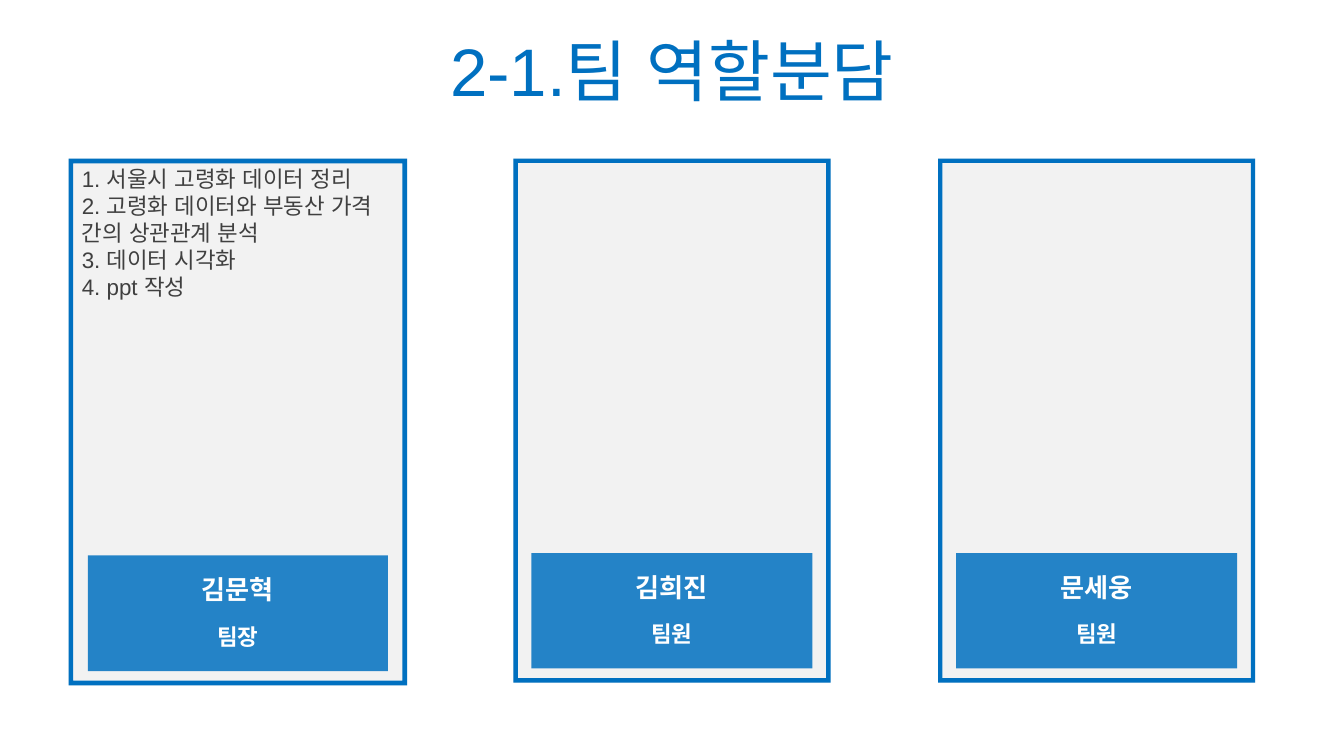
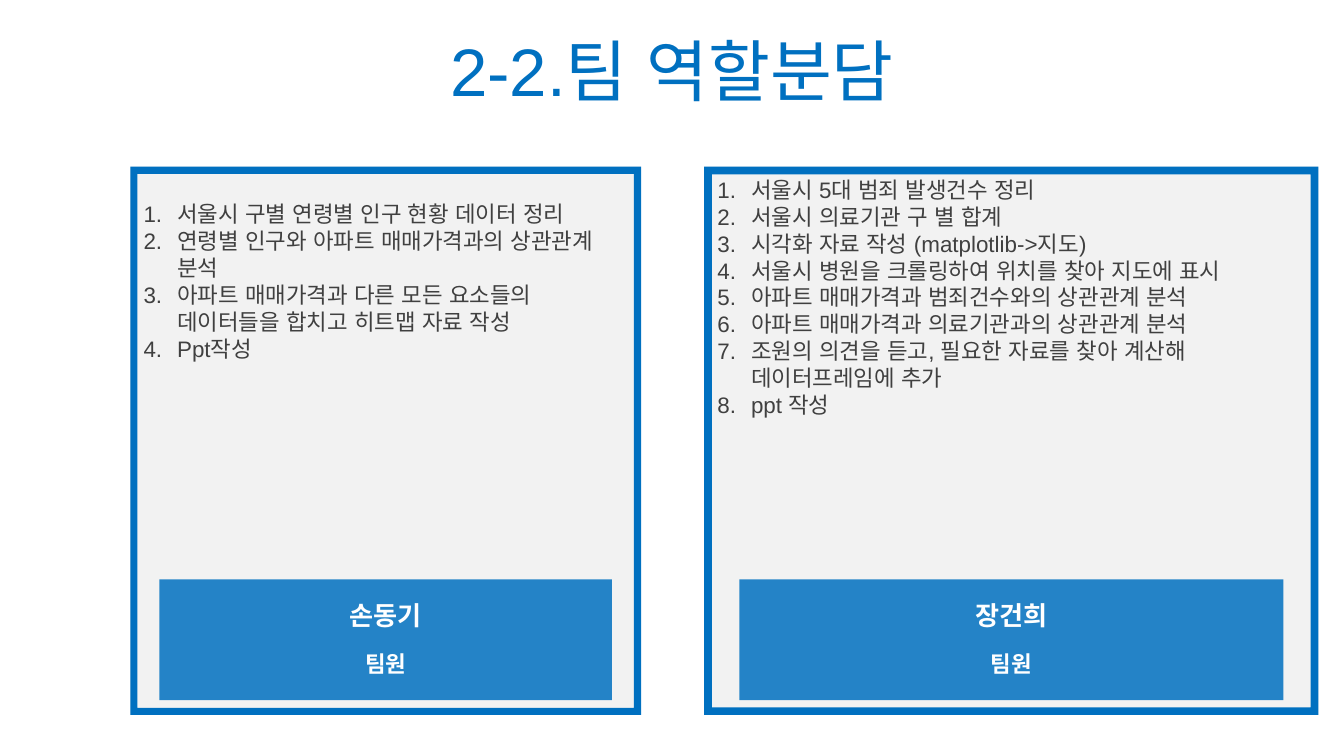
"""Build two slides that show each team member's role and tasks."""
from dataclasses import dataclass

from lxml.etree import SubElement
from pptx import Presentation
from pptx.dml.color import RGBColor
from pptx.enum.shapes import MSO_SHAPE as Preset
from pptx.enum.text import MSO_ANCHOR as Anchor, MSO_AUTO_SIZE as AutoSize, PP_ALIGN as Align
from pptx.oxml.ns import qn
from pptx.util import Inches, Pt


@dataclass(frozen=True)
class Theme:
    font: str = "Arial"
    blue: RGBColor = RGBColor(0x00, 0x70, 0xC0)
    panel: RGBColor = RGBColor(0xF2, 0xF2, 0xF2)
    text: RGBColor = RGBColor(0x40, 0x40, 0x40)
    white: RGBColor = RGBColor(0xFF, 0xFF, 0xFF)
    title_size: int = 36
    name_size: int = 14
    body_size: int = 12
    banner_opacity: int = 85
    frame_ratio: float = 0.014


THEME = Theme()

SLIDES = [
    {
        "title": "2-1.팀 역할분담",
        "numbered": False,
        "cards": [
            {"name": "김문혁", "role": "팀장", "box": (0.51, 1.18, 2.52, 3.92), "tasks": [
                "1. 서울시 고령화 데이터 정리",
                "2. 고령화 데이터와 부동산 가격 간의 상관관계 분석",
                "3. 데이터 시각화",
                "4. ppt 작성",
            ]},
            {"name": "김희진", "role": "팀원", "box": (3.82, 1.18, 2.36, 3.9), "tasks": []},
            {"name": "문세웅", "role": "팀원", "box": (6.98, 1.18, 2.36, 3.9), "tasks": []},
        ],
    },
    {
        "title": "2-2.팀 역할분담",
        "numbered": True,
        "cards": [
            {"name": "장건희", "role": "팀원", "box": (5.24, 1.24, 4.57, 4.08), "inset": 0.07, "tasks": [
                "서울시 5대 범죄 발생건수 정리",
                "서울시 의료기관 구 별 합계",
                "시각화 자료 작성 (matplotlib->지도)",
                "서울시 병원을 크롤링하여 위치를 찾아 지도에 표시",
                "아파트 매매가격과 범죄건수와의 상관관계 분석",
                "아파트 매매가격과 의료기관과의 상관관계 분석",
                "조원의 의견을 듣고, 필요한 자료를 찾아 계산해 데이터프레임에 추가",
                "ppt 작성",
            ]},
            {"name": "손동기", "role": "팀원", "box": (0.97, 1.24, 3.8, 4.08), "inset": 0.25, "tasks": [
                "서울시 구별 연령별 인구 현황 데이터 정리",
                "연령별 인구와 아파트 매매가격과의 상관관계 분석",
                "아파트 매매가격과 다른 모든 요소들의 데이터들을 합치고 히트맵 자료 작성",
                "Ppt작성",
            ]},
        ],
    },
]


def style_paragraph(paragraph, size, color, bold=False, align=Align.CENTER, space=0.2):
    paragraph.alignment = align
    paragraph.space_before = Pt(size * space)
    font = paragraph.font
    font.name, font.size, font.bold = THEME.font, Pt(size), bold
    font.color.rgb = color
    SubElement(font._rPr, qn("a:ea"), typeface=THEME.font)


def number_paragraph(paragraph):
    properties = paragraph._p.get_or_add_pPr()
    properties.set("marL", str(Inches(0.25)))
    properties.set("indent", str(-Inches(0.25)))
    bullet = properties.makeelement(qn("a:buAutoNum"), {"type": "arabicPeriod"})
    properties.insert_element_before(bullet, "a:tabLst", "a:defRPr", "a:extLst")


def add_block(group, preset, box, color):
    shape = group.shapes.add_shape(preset, *map(Inches, box))
    shape.shadow.inherit = False
    shape.fill.solid()
    shape.fill.fore_color.rgb = color
    shape.line.fill.background()
    return shape


def add_label(group, box, text, size):
    frame = group.shapes.add_textbox(*map(Inches, box)).text_frame
    frame.word_wrap = True
    frame.vertical_anchor = Anchor.MIDDLE
    frame.text = text
    style_paragraph(frame.paragraphs[0], size, THEME.white, bold=True)


def add_tasks(panel, tasks, numbered, inset):
    frame = panel.text_frame
    frame.vertical_anchor = Anchor.TOP
    frame.margin_top = Inches(inset)
    frame.text = "\n".join(tasks)
    for paragraph in frame.paragraphs:
        style_paragraph(paragraph, THEME.body_size, THEME.text, align=Align.LEFT, space=0)
        if numbered:
            number_paragraph(paragraph)


def add_card(slide, card, numbered):
    left, top, width, height = card["box"]

    def part(margin, offset, share):
        return (left + width * margin, top + height * offset,
                width * (1 - 2 * margin), height * share)

    group = slide.shapes.add_group_shape()
    panel = add_block(group, Preset.RECTANGLE, card["box"], THEME.panel)
    if card["tasks"]:
        add_tasks(panel, card["tasks"], numbered, card.get("inset", 0.05))
    border = add_block(group, Preset.FRAME, card["box"], THEME.blue)
    border.adjustments[0] = THEME.frame_ratio
    banner = add_block(group, Preset.RECTANGLE, part(0.057, 0.753, 0.22), THEME.blue)
    color = banner.fill._xPr.find(qn("a:solidFill"))[0]
    SubElement(color, qn("a:alpha"), val=str(THEME.banner_opacity * 1000))
    add_label(group, part(0.106, 0.775, 0.084), card["name"], THEME.name_size)
    add_label(group, part(0.106, 0.865, 0.084), card["role"], THEME.body_size)


def add_title(slide, text):
    title = slide.shapes.title
    title.left, title.top, title.width, title.height = map(Inches, (0, 0.2, 10, 0.63))
    frame = title.text_frame
    frame.text = text
    frame.auto_size = AutoSize.NONE
    frame.vertical_anchor = Anchor.MIDDLE
    style_paragraph(frame.paragraphs[0], THEME.title_size, THEME.blue)


def main():
    presentation = Presentation()
    presentation.slide_width = Inches(10)
    presentation.slide_height = Inches(10 * 9 / 16)
    layout = presentation.slide_layouts.get_by_name("Title Only")
    for content in SLIDES:
        slide = presentation.slides.add_slide(layout)
        add_title(slide, content["title"])
        for card in content["cards"]:
            add_card(slide, card, content["numbered"])
    presentation.save("out.pptx")


if __name__ == "__main__":
    main()
